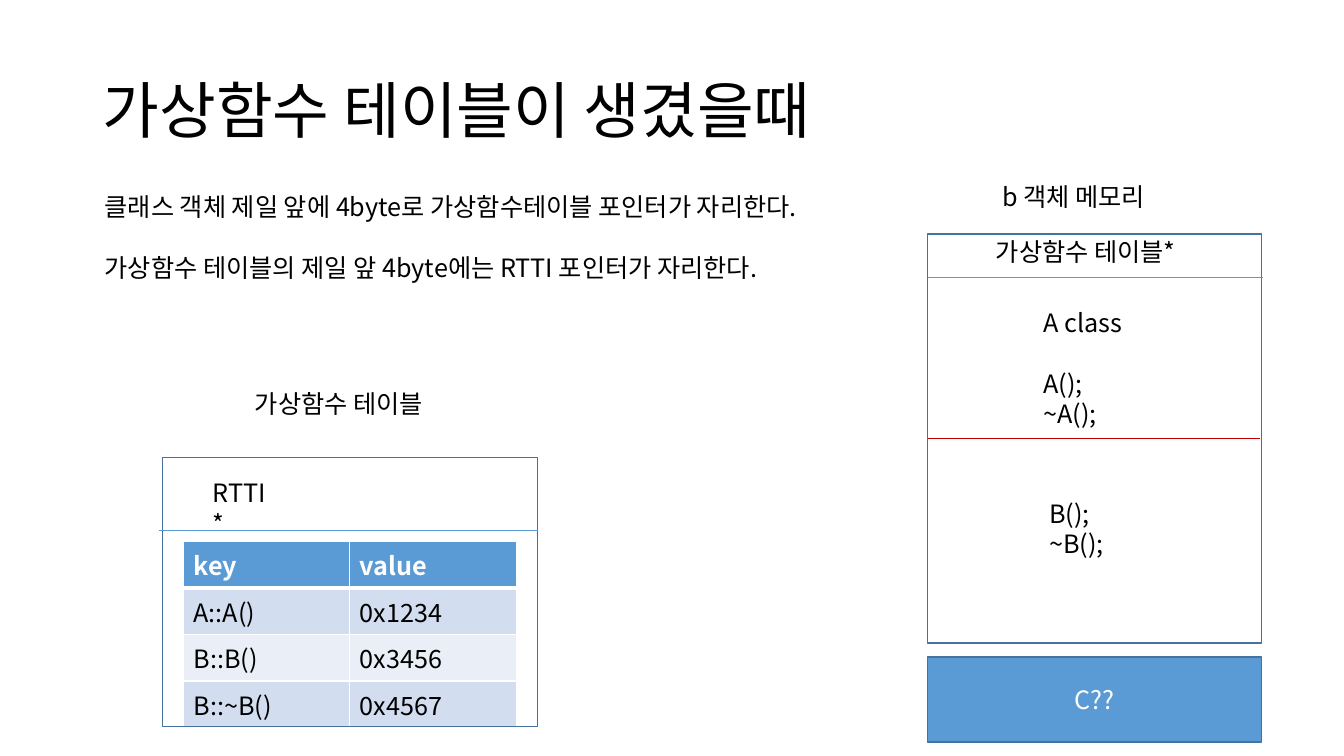
import pptx
import pptx.util
import pptx.dml.color
import pptx.enum.shapes
import pptx.enum.text
import pptx.oxml
import pptx.oxml.ns

Inches = pptx.util.Inches
Pt = pptx.util.Pt
RGBColor = pptx.dml.color.RGBColor
Align = pptx.enum.text.PP_ALIGN
Anchor = pptx.enum.text.MSO_ANCHOR

FONT = "Noto Sans CJK KR"
BLACK = RGBColor(0, 0, 0)
WHITE = RGBColor(255, 255, 255)
BLUE = RGBColor(0x5B, 0x9B, 0xD5)
EDGE = RGBColor(0x43, 0x73, 0x9E)
RED = RGBColor(0xC0, 0, 0)
BAND_DARK = RGBColor(0xD2, 0xDE, 0xEF)
BAND_LIGHT = RGBColor(0xEA, 0xEF, 0xF7)

# Content: each label is left, top, width, height, lines, numbers of lines set apart
TITLE = "가상함수 테이블이 생겼을때"
LABELS = [
    (0.94, 1.85, 11.45, 1.01,
     ["클래스 객체 제일 앞에 4byte로 가상함수테이블 포인터가 자리한다.",
      "가상함수 테이블의 제일 앞 4byte에는 RTTI 포인터가 자리한다."], {1}),
    (10.25, 3, 1.1, 1.31, ["A class", "A();", "~A();"], {1}),
    (10.31, 4.89, 0.74, 0.71, ["B();", "~B();"], set()),
    (9.84, 1.75, 1.79, 0.4, ["b 객체 메모리"], set()),
    (9.78, 2.3, 2.17, 0.4, ["가상함수 테이블*"], set()),
    (2.43, 3.8, 2.06, 0.4, ["가상함수 테이블"], set()),
    (2.01, 4.69, 0.89, 0.4, ["RTTI *"], set()),
]
VIRTUAL_TABLE = [("key", "value"), ("A::A()", "0x1234"),
                 ("B::B()", "0x3456"), ("B::~B()", "0x4567")]
# Dividers: left, right, height on the page, colour
DIVIDERS = [(9.2, 12.5, 4.35, RED), (9.2, 12.53, 2.75, BLUE), (1.58, 5.34, 5.26, BLUE)]
COLUMN_WIDTH, ROW_HEIGHT = 1.65, 0.4
BLANK_LINE = 21.8


def write(frame, lines, size=18, color=BLACK, bold=False, align=Align.LEFT,
          anchor=Anchor.TOP, spacing=None, apart=()):
    frame.word_wrap = True
    frame.vertical_anchor = anchor
    for number, line in enumerate(lines):
        para = frame.paragraphs[0] if number == 0 else frame.add_paragraph()
        para.alignment = align
        if spacing:
            para.line_spacing = spacing
        if number in apart:
            para.space_before = Pt(BLANK_LINE)
        span = para.add_run()
        span.text = line
        span.font.size, span.font.bold, span.font.name = Pt(size), bold, FONT
        span.font.color.rgb = color
        east_asian = pptx.oxml.parse_xml(
            f'<a:ea {pptx.oxml.ns.nsdecls("a")} typeface="{FONT}"/>')
        span.font._element.append(east_asian)


def add_box(page, left, top, width, height, fill=None):
    box = page.shapes.add_shape(pptx.enum.shapes.MSO_SHAPE.RECTANGLE,
                                Inches(left), Inches(top), Inches(width), Inches(height))
    box.shadow.inherit = False
    if fill is None:
        box.fill.background()
    else:
        box.fill.solid()
        box.fill.fore_color.rgb = fill
    box.line.color.rgb = EDGE
    box.line.width = Pt(1)
    return box


def add_divider(page, left, right, top, color):
    line = page.shapes.add_connector(pptx.enum.shapes.MSO_CONNECTOR.STRAIGHT,
                                     Inches(left), Inches(top), Inches(right), Inches(top))
    line.line.color.rgb = color
    line.line.width = Pt(0.5)
    line._element.spPr.append(
        pptx.oxml.parse_xml(f'<a:effectLst {pptx.oxml.ns.nsdecls("a")}/>'))


def set_borders(cell, bottom):
    properties = cell._tc.get_or_add_tcPr()
    for position, (side, width) in enumerate(
            [("lnL", 1), ("lnR", 1), ("lnT", 1), ("lnB", bottom)]):
        properties.insert(position, pptx.oxml.parse_xml(
            f'<a:{side} {pptx.oxml.ns.nsdecls("a")} w="{Pt(width)}">'
            f'<a:solidFill><a:srgbClr val="{WHITE}"/></a:solidFill></a:{side}>'))


def add_virtual_table(page, left, top):
    rows, columns = len(VIRTUAL_TABLE), len(VIRTUAL_TABLE[0])
    table = page.shapes.add_table(rows, columns, Inches(left), Inches(top),
                                  Inches(columns * COLUMN_WIDTH),
                                  Inches(rows * ROW_HEIGHT)).table
    for row, values in enumerate(VIRTUAL_TABLE):
        header = row == 0
        fill = BLUE if header else BAND_DARK if row % 2 else BAND_LIGHT
        for column, value in enumerate(values):
            cell = table.cell(row, column)
            cell.fill.solid()
            cell.fill.fore_color.rgb = fill
            write(cell.text_frame, [value], color=WHITE if header else BLACK, bold=header)
            set_borders(cell, bottom=3 if header else 1)


def main():
    deck = pptx.Presentation()
    deck.slide_width, deck.slide_height = Inches(13.33), Inches(7.5)
    page = deck.slides.add_slide(deck.slide_layouts[5])

    # Title
    title = page.shapes.title
    title.left, title.top = Inches(0.92), Inches(0.4)
    title.width, title.height = Inches(11.5), Inches(1.45)
    write(title.text_frame, [TITLE], size=44, anchor=Anchor.MIDDLE, spacing=0.9)

    # Object memory
    add_box(page, 9.2, 2.32, 3.31, 4.06)
    unknown = add_box(page, 9.2, 6.52, 3.31, 0.84, fill=BLUE)
    write(unknown.text_frame, ["C??"], color=WHITE, align=Align.CENTER, anchor=Anchor.MIDDLE)

    # Virtual function table
    add_virtual_table(page, 1.82, 5.37)
    add_box(page, 1.61, 4.54, 3.72, 2.67)

    # Dividers and labels
    for divider in DIVIDERS:
        add_divider(page, *divider)
    for left, top, width, height, lines, apart in LABELS:
        label = page.shapes.add_textbox(Inches(left), Inches(top),
                                        Inches(width), Inches(height))
        write(label.text_frame, lines, apart=apart)

    deck.save("out.pptx")


if __name__ == "__main__":
    main()
